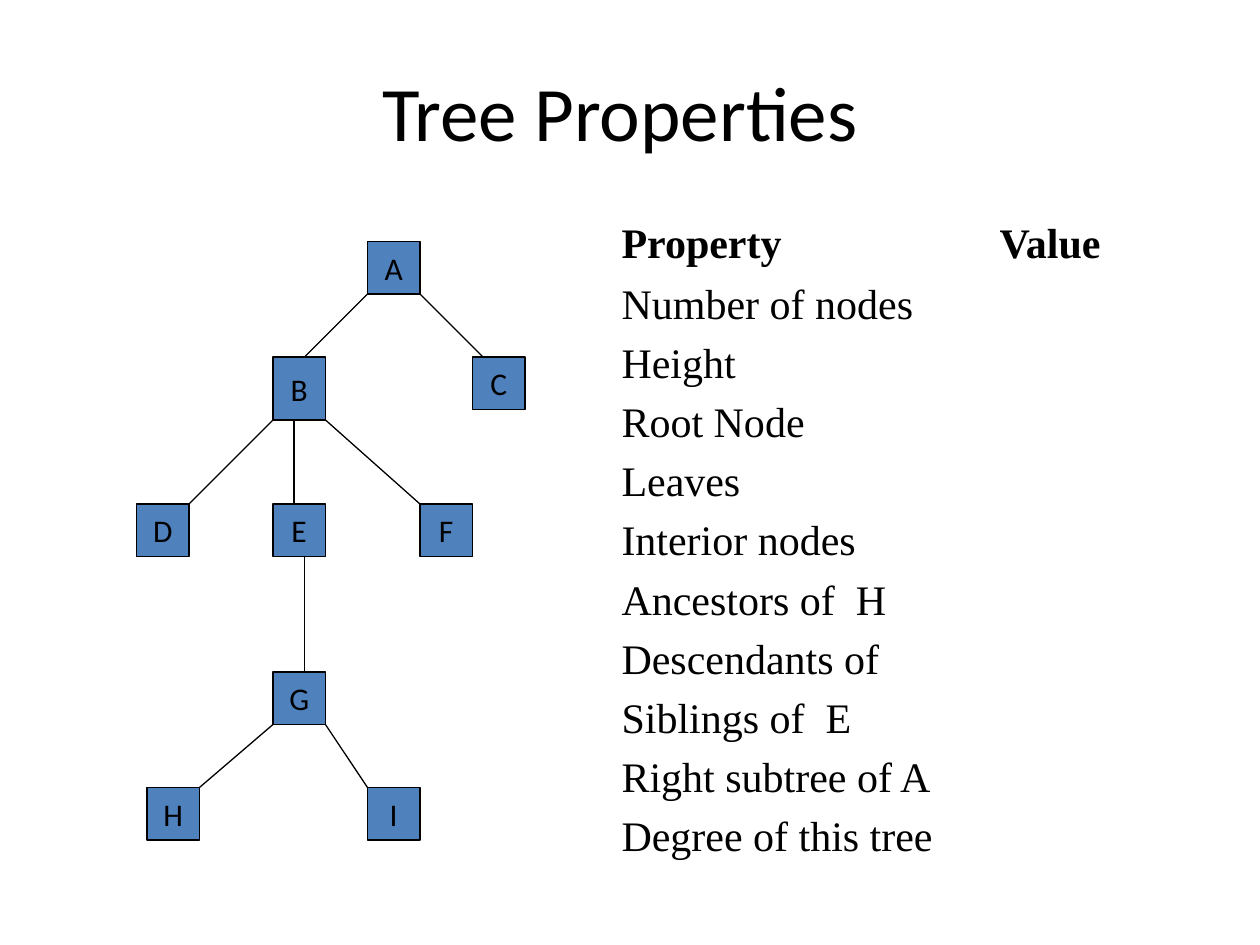
from lxml import etree
from pptx import Presentation
from pptx.dml.color import RGBColor
from pptx.enum.shapes import MSO_CONNECTOR as Line, MSO_SHAPE as Shape
from pptx.enum.text import MSO_ANCHOR as Anchor, PP_ALIGN as Align
from pptx.oxml.ns import qn
from pptx.util import Cm, Pt

BLACK = RGBColor(0x00, 0x00, 0x00)
BLUE = RGBColor(0x4F, 0x81, 0xBD)

# The tree sits on a grid of twelve units to the inch
GRID = 2.54 / 12
NODE_SIZE = 5

# label: (left, top, height) in grid units
NODES = {
    "A": (35, 23, NODE_SIZE),
    "B": (26, 34, 6),
    "C": (45, 34, NODE_SIZE),
    "D": (13, 48, NODE_SIZE),
    "E": (26, 48, NODE_SIZE),
    "F": (40, 48, NODE_SIZE),
    "G": (26, 64, NODE_SIZE),
    "H": (14, 75, NODE_SIZE),
    "I": (35, 75, NODE_SIZE),
}

# parent, child, x at the parent's bottom, x at the child's top
EDGES = [
    ("A", "B", 35, 29),
    ("A", "C", 40, 46),
    ("B", "D", 26, 18),
    ("B", "E", 28, 28),
    ("B", "F", 31, 40),
    ("E", "G", 29, 29),
    ("G", "H", 26, 19),
    ("G", "I", 31, 35),
]

PROPERTIES = [
    "Number of nodes",
    "Height",
    "Root Node",
    "Leaves",
    "Interior nodes",
    "Ancestors of  H",
    "Descendants of",
    "Siblings of  E",
    "Right subtree of A",
    "Degree of this tree",
]


def grid(units):
    return Cm(units * GRID)


class TreeSlide:
    heading_font = "Calibri"
    list_font = "Times New Roman"
    line_width = Pt(0.75)

    def __init__(self, slide):
        self.slide = slide

    def style(self, paragraph, font, size, bold=False):
        paragraph.font.name = font
        paragraph.font.size = Pt(size)
        paragraph.font.bold = bold
        paragraph.font.color.rgb = BLACK

    def title(self, text):
        title = self.slide.shapes.title
        title.left, title.top = Cm(1.7), Cm(1.06)
        title.width, title.height = Cm(21.6), Cm(2.33)
        frame = title.text_frame
        frame.text = text
        frame.vertical_anchor = Anchor.MIDDLE
        heading = frame.paragraphs[0]
        heading.alignment = Align.CENTER
        self.style(heading, self.heading_font, 44)

    def node(self, label, left, top, height):
        node = self.slide.shapes.add_shape(
            Shape.RECTANGLE, grid(left), grid(top), grid(NODE_SIZE), grid(height))
        node.shadow.inherit = False
        node.fill.solid()
        node.fill.fore_color.rgb = BLUE
        node.line.color.rgb = BLACK
        node.line.width = self.line_width
        frame = node.text_frame
        frame.text = label
        frame.word_wrap = False
        frame.vertical_anchor = Anchor.MIDDLE
        frame.paragraphs[0].alignment = Align.CENTER
        self.style(frame.paragraphs[0], self.heading_font, 18)

    def edge(self, parent, child, start_x, end_x):
        _, parent_top, parent_height = NODES[parent]
        child_top = NODES[child][1]
        edge = self.slide.shapes.add_connector(
            Line.STRAIGHT, grid(start_x), grid(parent_top + parent_height),
            grid(end_x), grid(child_top))
        edge.line.color.rgb = BLACK
        edge.line.width = self.line_width
        etree.SubElement(edge._element.spPr, qn("a:effectLst"))

    def property_list(self, heading, properties):
        box = self.slide.shapes.add_textbox(Cm(12.28), Cm(4.23), Cm(11.43), Cm(13.2))
        frame = box.text_frame
        frame.word_wrap = True
        header = frame.paragraphs[0]
        header.text = heading
        # One tab stop marks the value column
        tabs = etree.SubElement(header._p.get_or_add_pPr(), qn("a:tabLst"))
        etree.SubElement(tabs, qn("a:tab"), pos=str(Cm(7.62)), algn="l")
        self.style(header, self.list_font, 24, bold=True)
        for text in properties:
            row = frame.add_paragraph()
            row.text = text
            row.line_spacing = 0.6
            row.space_before = Pt(16.5)
            self.style(row, self.list_font, 24)


def main():
    deck = Presentation()
    deck.slide_width, deck.slide_height = Cm(25.4), Cm(19.05)
    page = TreeSlide(deck.slides.add_slide(deck.slide_layouts[5]))

    page.title("Tree Properties")

    # Tree diagram
    for label, place in NODES.items():
        page.node(label, *place)
    for edge in EDGES:
        page.edge(*edge)

    # Properties to fill in
    page.property_list("Property\tValue", PROPERTIES)

    deck.save("out.pptx")


if __name__ == "__main__":
    main()
